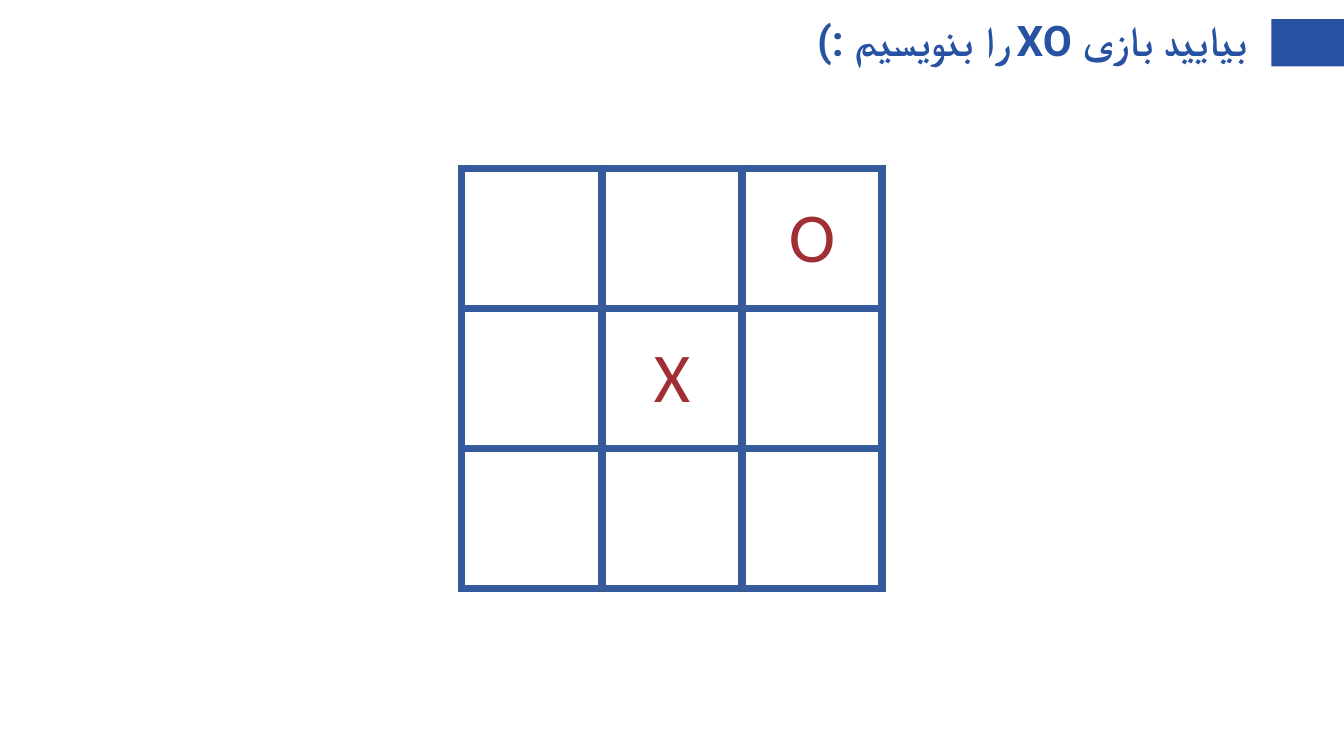
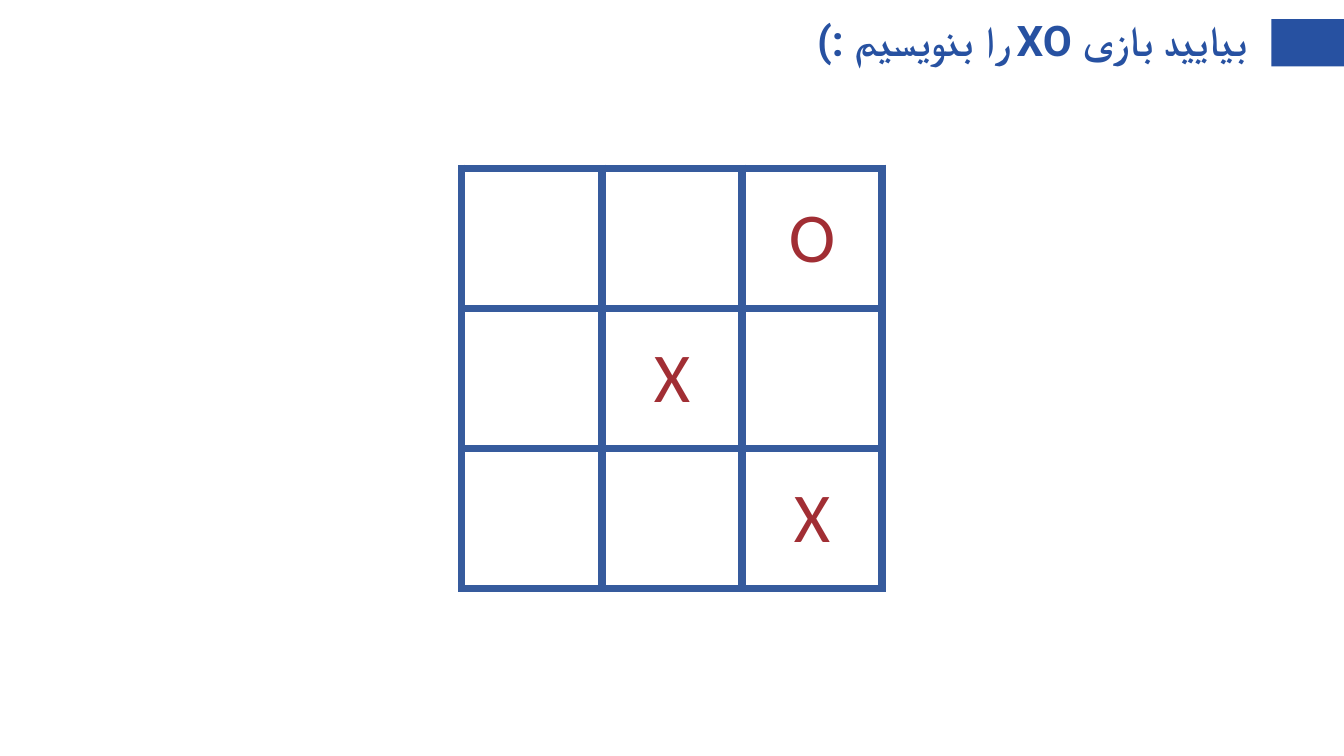
from lxml.etree import SubElement
from pptx import Presentation
from pptx.dml.color import RGBColor
from pptx.enum.shapes import MSO_SHAPE
from pptx.enum.text import MSO_ANCHOR, PP_ALIGN
from pptx.oxml.ns import qn
from pptx.util import Inches, Pt

TITLE_BLUE = RGBColor(0x27, 0x51, 0xA1)
GRID_BLUE = RGBColor(0x36, 0x5B, 0x9D)
MARK_RED = RGBColor(0xA1, 0x2E, 0x34)
WHITE = RGBColor(0xFF, 0xFF, 0xFF)

TITLE = "بیایید بازی XO را بنویسیم :)"
TITLE_FONT = {"name": "Roboto", "size": Pt(30.1), "bold": True}
TITLE_PARAGRAPH = {"alignment": PP_ALIGN.RIGHT, "line_spacing": 0.9,
                   "space_before": Pt(9)}
TITLE_FRAME = {"word_wrap": True, "vertical_anchor": MSO_ANCHOR.MIDDLE}
MARK_FONT = {"name": "Calibri", "size": Pt(50)}
MARK_CELL = {"vertical_anchor": MSO_ANCHOR.MIDDLE}
PLAIN_TABLE = {"first_row": False, "horz_banding": False}
MARGINS = ("margin_left", "margin_top", "margin_right", "margin_bottom")

BOARD_SIZE = 3
SQUARE = 1.39
BOARD_LEFT, BOARD_TOP = 4.58, 1.67
GRID_WIDTH = Pt(6)

# Each position maps (row, column) to the mark played there.
OPENING = {(0, 2): "O", (1, 1): "X"}
POSITIONS = [OPENING, {**OPENING, (2, 2): "X"}]


def apply(target, formats):
    """Set every attribute of a format dict on the target."""
    for attribute, value in formats.items():
        setattr(target, attribute, value)


class GameDeck:
    def __init__(self):
        self.presentation = Presentation()
        apply(self.presentation, {"slide_width": Inches(13.33),
                                  "slide_height": Inches(7.5)})
        self.slide = None

    def add_slide(self):
        blank = self.presentation.slide_layouts[6]
        self.slide = self.presentation.slides.add_slide(blank)
        self.add_band()
        self.add_title()

    def add_band(self):
        band = self.slide.shapes.add_shape(
            MSO_SHAPE.RECTANGLE, Inches(12.61), Inches(0.19),
            Inches(0.73), Inches(0.47))
        band.shadow.inherit = False
        band.fill.solid()
        band.fill.fore_color.rgb = TITLE_BLUE
        band.line.fill.background()

    def add_title(self):
        frame = self.slide.shapes.add_textbox(
            Inches(0.92), Inches(0.05), Inches(11.5), Inches(0.75)).text_frame
        apply(frame, TITLE_FRAME)
        apply(frame, dict.fromkeys(MARGINS, Inches(0.05)))
        paragraph = frame.paragraphs[0]
        apply(paragraph, TITLE_PARAGRAPH)
        paragraph._p.get_or_add_pPr().set("rtl", "1")
        self.add_run(paragraph, TITLE, TITLE_FONT, TITLE_BLUE)

    def add_run(self, paragraph, text, font, color):
        run = paragraph.add_run()
        run.text = text
        apply(run.font, font)
        run.font.color.rgb = color
        # Persian letters take the complex-script typeface.
        SubElement(run.font._element, qn("a:cs"), typeface=font["name"])

    def add_board(self, marks):
        side = Inches(SQUARE * BOARD_SIZE)
        board = self.slide.shapes.add_table(
            BOARD_SIZE, BOARD_SIZE, Inches(BOARD_LEFT), Inches(BOARD_TOP),
            side, side).table
        apply(board, PLAIN_TABLE)
        for row in range(BOARD_SIZE):
            for column in range(BOARD_SIZE):
                square = board.cell(row, column)
                self.style_square(square)
                if (row, column) in marks:
                    self.add_mark(square, marks[row, column])

    def style_square(self, square):
        properties = square._tc.get_or_add_tcPr()
        for edge in ("a:lnL", "a:lnR", "a:lnT", "a:lnB"):
            line = SubElement(properties, qn(edge), w=str(int(GRID_WIDTH)))
            fill = SubElement(line, qn("a:solidFill"))
            SubElement(fill, qn("a:srgbClr"), val=str(GRID_BLUE))
        square.fill.solid()
        square.fill.fore_color.rgb = WHITE

    def add_mark(self, square, mark):
        apply(square, MARK_CELL)
        apply(square, dict.fromkeys(MARGINS, 0))
        paragraph = square.text_frame.paragraphs[0]
        paragraph.alignment = PP_ALIGN.CENTER
        self.add_run(paragraph, mark, MARK_FONT, MARK_RED)


def main():
    deck = GameDeck()
    for marks in POSITIONS:
        deck.add_slide()
        deck.add_board(marks)
    deck.presentation.save("out.pptx")


if __name__ == "__main__":
    main()
